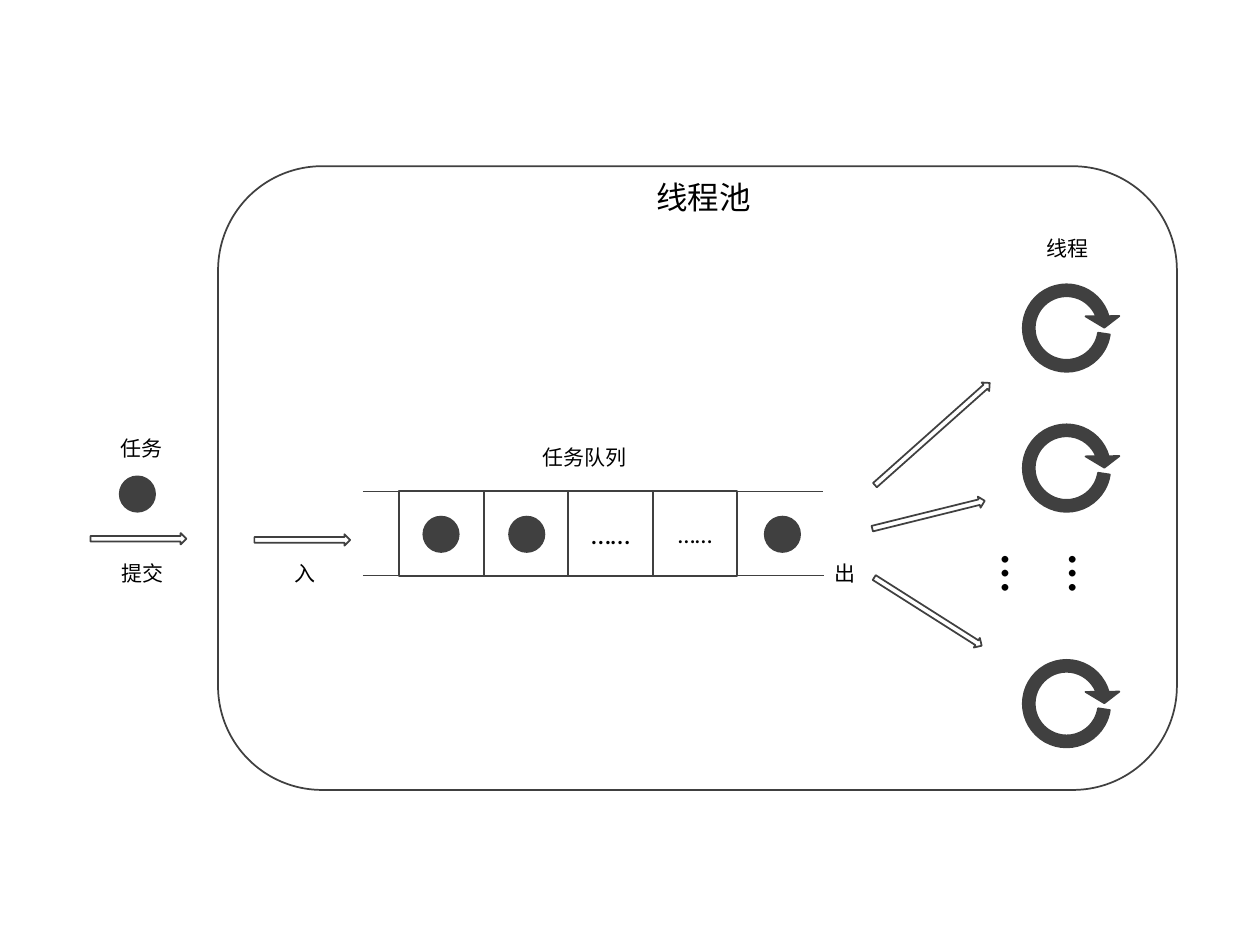
from typing import NamedTuple, Optional

from lxml import etree
from pptx import Presentation
from pptx.dml.color import RGBColor
from pptx.enum.shapes import MSO_CONNECTOR, MSO_SHAPE
from pptx.enum.text import MSO_ANCHOR, MSO_AUTO_SIZE, PP_ALIGN
from pptx.oxml.ns import qn
from pptx.util import Pt

DARK = RGBColor(0x40, 0x40, 0x40)
BLACK = RGBColor(0, 0, 0)
FONT = "Calibri"
LINE = MSO_CONNECTOR.STRAIGHT
RECTANGLE = MSO_SHAPE.RECTANGLE
ROUNDED = MSO_SHAPE.ROUNDED_RECTANGLE
OVAL = MSO_SHAPE.OVAL
ARROW = MSO_SHAPE.RIGHT_ARROW
LOOP = MSO_SHAPE.CIRCULAR_ARROW
TOP, MIDDLE = MSO_ANCHOR.TOP, MSO_ANCHOR.MIDDLE
LEFT, CENTER = PP_ALIGN.LEFT, PP_ALIGN.CENTER
GROW, FIXED = MSO_AUTO_SIZE.SHAPE_TO_FIT_TEXT, MSO_AUTO_SIZE.NONE

CELL = 48.3
QUEUE_LEFT, QUEUE_TOP = 228.2, 280.8
TASK_SIZE = 20.2
TASK_ROW = 295.2
LOOP_SIZE = 62.6
LOOP_ADJUSTMENTS = (0.109, 10.638, 205.029, 5.086, 0.155)
ARROW_HEIGHT = 6.5
DOTS = "……"


class Label(NamedTuple):
    """A caption and its box."""
    text: str
    left: float
    top: float
    width: float = 67.7
    height: float = 21.6


class Arrow(NamedTuple):
    """A block arrow, turned about its centre."""
    left: float
    top: float
    width: float
    rotation: float = 0


class Cell(NamedTuple):
    """A queue cell with optional text."""
    text: str = ""
    size: float = 16


LOOP_TOPS = (156.2, 236.2, 370.8)
CELLS = (Cell(), Cell(), Cell(DOTS), Cell(DOTS, 14))
TASKS = ((68.4, 272.2), (241.9, TASK_ROW), (290.9, TASK_ROW), (437, TASK_ROW))
ARROWS = (
    Arrow(51.8, 304.6, 54.7),
    Arrow(145.4, 305.3, 54.7),
    Arrow(488.9, 244.8, 87.8, 318.3),
    Arrow(497.5, 290.9, 66.2, 346.1),
    Arrow(493.9, 346.3, 72.7, 32.4),
)
LABELS = (
    Label("提交", 47.5, 316.8),
    Label("入", 140.4, 316.8),
    Label("出", 449.3, 316.8),
    Label("任务", 46.8, 245.5),
    Label("任务队列", 300.2, 250.6),
    Label("线程", 590.4, 131, 38.9),
)


def add_outline(page, kind, left: float, top: float, width: float, height: float,
                fill: Optional[RGBColor] = None):
    """Add a preset shape with a dark outline and an optional fill."""
    shape = page.shapes.add_shape(kind, Pt(left), Pt(top), Pt(width), Pt(height))
    shape.shadow.inherit = False
    if fill is None:
        shape.fill.background()
    else:
        shape.fill.solid()
        shape.fill.fore_color.rgb = fill
    shape.line.color.rgb = DARK
    shape.line.width = Pt(1)
    return shape


def write(shape, text: str, size: float, align=CENTER, anchor=TOP, fit=FIXED) -> None:
    """Put one formatted paragraph in a shape."""
    frame = shape.text_frame
    frame.text = text
    frame.word_wrap = True
    frame.auto_size = fit
    frame.vertical_anchor = anchor
    para = frame.paragraphs[0]
    para.alignment = align
    para.font.name = FONT
    para.font.size = Pt(size)
    para.font.color.rgb = BLACK


def add_label(page, label: Label, size: float = 12, align=CENTER):
    """Add a caption in a text box."""
    box = page.shapes.add_textbox(Pt(label.left), Pt(label.top),
                                  Pt(label.width), Pt(label.height))
    write(box, label.text, size, align, fit=GROW)
    return box


def add_rail(page, y: float, right: float) -> None:
    """Add a thin horizontal line along the queue."""
    rail = page.shapes.add_connector(LINE, Pt(207.4), Pt(y), Pt(right), Pt(y))
    rail.line.color.rgb = DARK
    rail.line.width = Pt(0.5)
    etree.SubElement(rail._element.spPr, qn("a:effectLst"))


def add_title(page) -> None:
    """Place the name of the pool at the top of its frame."""
    title = page.shapes.title
    title.left, title.top, title.width, title.height = (
        Pt(367.9), Pt(97.9), Pt(69.8), Pt(28.8))
    write(title, "线程池", 18, LEFT)


def add_queue(page) -> None:
    """Draw the queue cells and the rails above and below them."""
    for index, cell in enumerate(CELLS):
        shape = add_outline(page, RECTANGLE, QUEUE_LEFT + index * CELL,
                            QUEUE_TOP, CELL, CELL)
        if cell.text:
            write(shape, cell.text, cell.size, anchor=MIDDLE)
    add_rail(page, QUEUE_TOP, 470.2)
    add_rail(page, QUEUE_TOP + CELL, 470.9)


def add_threads(page) -> None:
    """Draw the thread loops and the dots that stand for more."""
    for top in LOOP_TOPS:
        loop = add_outline(page, LOOP, 578.2, top, LOOP_SIZE, LOOP_SIZE, DARK)
        for index, value in enumerate(LOOP_ADJUSTMENTS):
            loop.adjustments[index] = value
    dots = add_label(page, Label(DOTS, 593.3, 309.6, 53.3, 53.3), 32, LEFT)
    dots.text_frame._txBody.bodyPr.set("vert", "eaVert")


def build() -> None:
    """Build and save the slide."""
    deck = Presentation()
    deck.slide_width, deck.slide_height = Pt(720), Pt(540)
    page = deck.slides.add_slide(deck.slide_layouts[5])
    add_title(page)
    add_threads(page)
    add_queue(page)
    add_outline(page, ROUNDED, 124.6, 95, 547.9, 356.4)
    for left, top in TASKS:
        add_outline(page, OVAL, left, top, TASK_SIZE, TASK_SIZE, DARK)
    for arrow in ARROWS:
        shape = add_outline(page, ARROW, arrow.left, arrow.top,
                            arrow.width, ARROW_HEIGHT)
        shape.rotation = arrow.rotation
    for label in LABELS:
        add_label(page, label)
    deck.save("out.pptx")


build()
